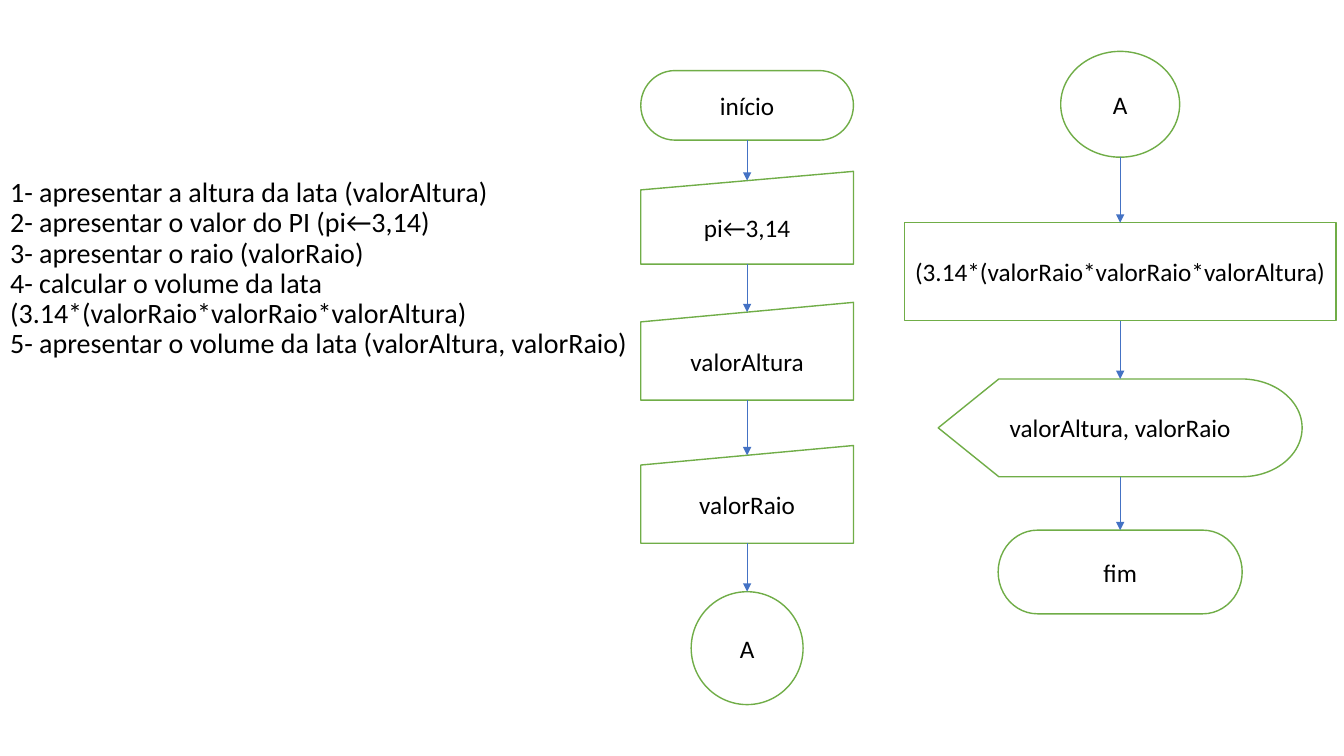
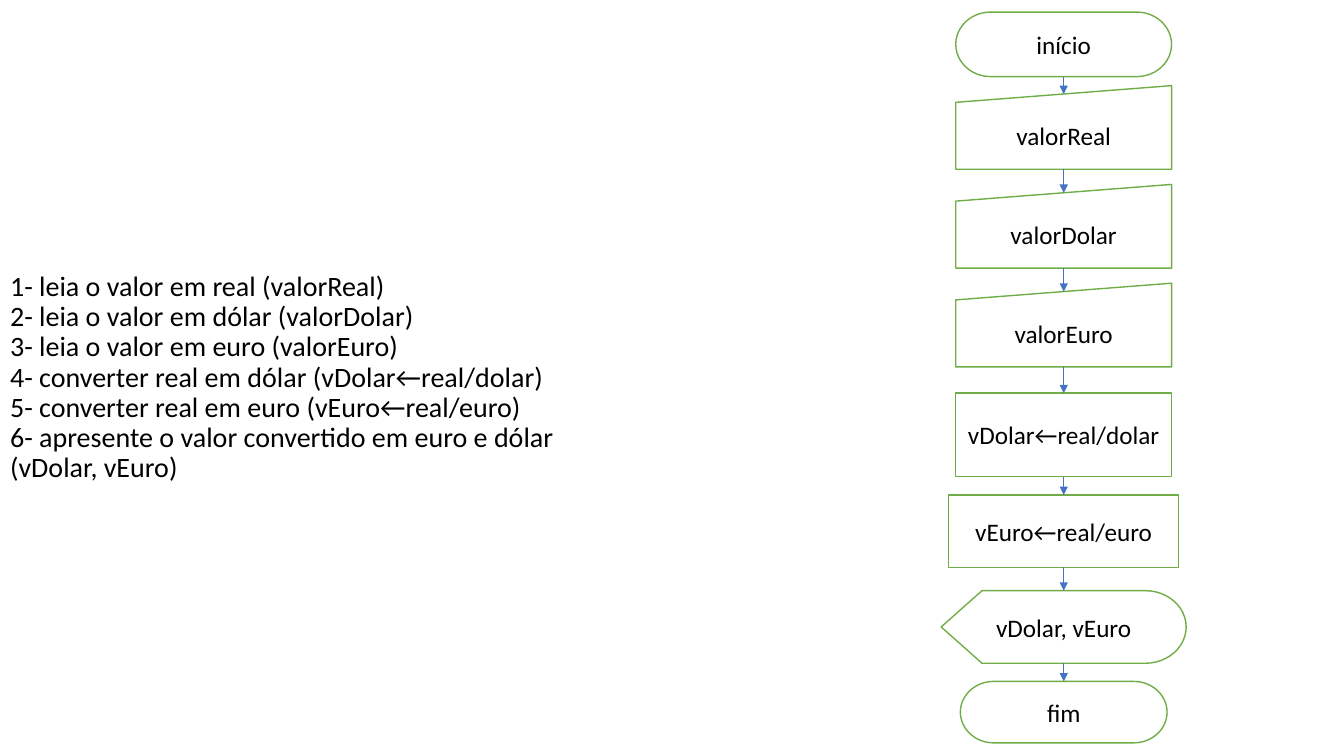
from itertools import pairwise
from lxml.etree import SubElement
from pptx import Presentation
from pptx.dml.color import RGBColor
from pptx.enum.shapes import MSO_CONNECTOR, MSO_SHAPE
from pptx.enum.text import MSO_ANCHOR, MSO_AUTO_SIZE, PP_ALIGN
from pptx.oxml.ns import qn
from pptx.util import Inches, Pt

BLACK = RGBColor(0, 0, 0)
WHITE = RGBColor(255, 255, 255)
GREEN = RGBColor(0x70, 0xAD, 0x47)
BLUE = RGBColor(0x44, 0x72, 0xC4)

PILL = MSO_SHAPE.FLOWCHART_TERMINATOR
INPUT = MSO_SHAPE.FLOWCHART_MANUAL_INPUT
TASK = MSO_SHAPE.FLOWCHART_PROCESS
SHOW = MSO_SHAPE.FLOWCHART_DISPLAY
JOIN = MSO_SHAPE.FLOWCHART_CONNECTOR

FRAME = {"word_wrap": True, "auto_size": MSO_AUTO_SIZE.NONE}
HEAD = {"alignment": PP_ALIGN.LEFT, "line_spacing": 0.9}
LABEL = {"alignment": PP_ALIGN.CENTER}

CAN = [
    "1- apresentar a altura da lata (valorAltura)",
    "2- apresentar o valor do PI (pi←3,14)",
    "3- apresentar o raio (valorRaio)",
    "4- calcular o volume da lata (3.14*(valorRaio*valorRaio*valorAltura)",
    "5- apresentar o volume da lata (valorAltura, valorRaio)",
]
CAN_IN = [
    (PILL, "início", 0.7, 2.11, 0.69),
    (INPUT, "pi←3,14", 1.7, 2.11, 0.92),
    (INPUT, "valorAltura", 3, 2.11, 0.97),
    (INPUT, "valorRaio", 4.42, 2.11, 0.97),
    (JOIN, "A", 5.87, 1.11, 1.12),
]
CAN_OUT = [
    (JOIN, "A", 0.51, 1.18, 1.05),
    (TASK, "(3.14*(valorRaio*valorRaio*valorAltura)", 2.21, 4.28, 0.97),
    (SHOW, "valorAltura, valorRaio", 3.76, 3.61, 0.97),
    (PILL, "fim", 5.26, 2.42, 0.83),
]
MONEY = [
    "1- leia o valor em real (valorReal)",
    "2- leia o valor em dólar (valorDolar)",
    "3- leia o valor em euro (valorEuro)",
    "4- converter real em dólar (vDolar←real/dolar)",
    "5- converter real em euro (vEuro←real/euro)",
    "6- apresente o valor convertido em euro e dólar (vDolar, vEuro)",
]
MONEY_FLOW = [
    (PILL, "início", 0.12, 2.14, 0.64),
    (INPUT, "valorReal", 0.85, 2.14, 0.83),
    (INPUT, "valorDolar", 1.83, 2.14, 0.83),
    (INPUT, "valorEuro", 2.81, 2.14, 0.83),
    (TASK, "vDolar←real/dolar", 3.9, 2.14, 0.83),
    (TASK, "vEuro←real/euro", 4.91, 2.28, 0.72),
    (SHOW, "vDolar, vEuro", 5.86, 2.43, 0.72),
    (PILL, "fim", 6.76, 2.05, 0.61),
]


def apply(item, values):
    """Set each named format value on an item."""
    for name, value in values.items():
        setattr(item, name, value)


def write(shape, text, size, anchor, layout):
    """Fill a shape with one paragraph of formatted text."""
    frame = shape.text_frame
    apply(frame, FRAME | {"vertical_anchor": anchor, "text": text})
    para = frame.paragraphs[0]
    apply(para, layout)
    for run in para.runs:
        apply(run.font, {"name": "Calibri", "size": Pt(size), "bold": False})
        run.font.color.rgb = BLACK


def add_page(deck, steps, box, anchor):
    """Add a slide whose title lists the steps, one to a line."""
    slide = deck.slides.add_slide(deck.slide_layouts[5])
    title = slide.shapes.title
    sides = map(Inches, box)
    apply(title, dict(zip(("left", "top", "width", "height"), sides)))
    write(title, "\v".join(steps), 20, anchor, HEAD)
    return slide


def add_node(slide, mid, kind, text, top, width, height):
    """Add a flowchart symbol centred on a vertical axis."""
    node = slide.shapes.add_shape(
        kind, Inches(mid - width / 2), Inches(top), Inches(width), Inches(height)
    )
    node.shadow.inherit = False
    node.fill.solid()
    node.fill.fore_color.rgb = WHITE
    node.line.color.rgb = GREEN
    node.line.width = Pt(1)
    write(node, text, 18, MSO_ANCHOR.MIDDLE, LABEL)


def add_arrow(slide, mid, start, end):
    """Add a thin downward arrow on a vertical axis."""
    link = slide.shapes.add_connector(
        MSO_CONNECTOR.STRAIGHT, Inches(mid), Inches(start), Inches(mid), Inches(end)
    )
    link.line.color.rgb = BLUE
    link.line.width = Pt(0.5)
    props = link._element.spPr
    SubElement(props.get_or_add_ln(), qn("a:tailEnd"), type="triangle")
    SubElement(props, qn("a:effectLst"))


def add_flow(slide, mid, nodes):
    """Add a column of symbols, each linked to the next."""
    for node in nodes:
        add_node(slide, mid, *node)
    for (_, _, top, _, height), (kind, _, end, _, tall) in pairwise(nodes):
        slope = tall / 10 if kind == INPUT else 0
        add_arrow(slide, mid, top + height, end + slope)


def main():
    """Build both slides and save the deck."""
    deck = Presentation()
    apply(deck, {"slide_width": Inches(13.33), "slide_height": Inches(7.5)})
    page = add_page(deck, CAN, (0, 1.72, 6.35, 5.78), MSO_ANCHOR.TOP)
    add_flow(page, 7.41, CAN_IN)
    add_flow(page, 11.11, CAN_OUT)
    page = add_page(deck, MONEY, (0, 0, 6.24, 7.5), MSO_ANCHOR.MIDDLE)
    add_flow(page, 10.55, MONEY_FLOW)
    deck.save("out.pptx")


main()
